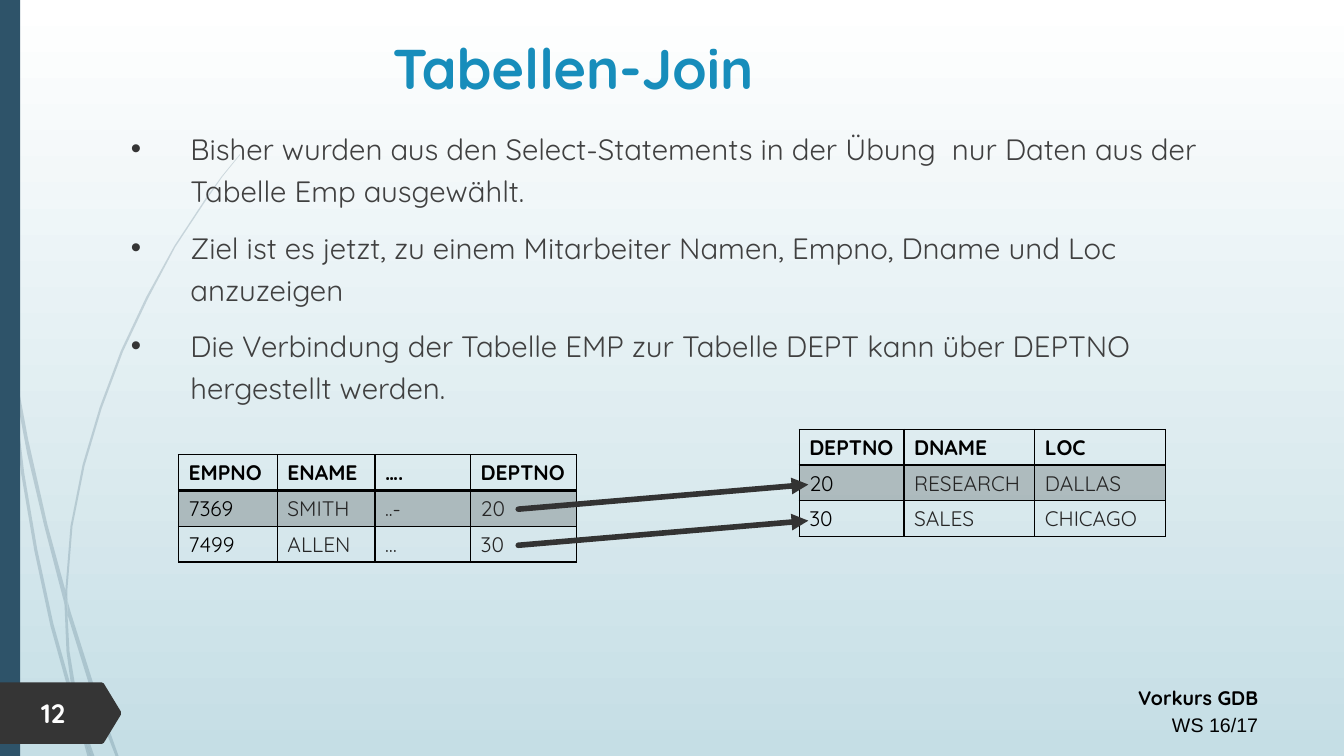
from pptx import Presentation
from pptx.dml.color import RGBColor
from pptx.enum.shapes import MSO_CONNECTOR, MSO_SHAPE
from pptx.enum.text import MSO_ANCHOR, PP_ALIGN
from pptx.oxml import parse_xml
from pptx.oxml.ns import nsdecls, qn
from pptx.util import Cm, Pt

RECT = MSO_SHAPE.RECTANGLE
LINE = MSO_CONNECTOR.STRAIGHT
TOP, MIDDLE = MSO_ANCHOR.TOP, MSO_ANCHOR.MIDDLE
LEFT, CENTER, RIGHT = PP_ALIGN.LEFT, PP_ALIGN.CENTER, PP_ALIGN.RIGHT

UNIT = Cm(2.54) / 100

WISPS = [
    [(8, 350), (6, 322), (0, 282), (0, 299), (8, 344)],
    [(44, 522), (64, 599), (65, 586), (47, 520), (28, 436), (11, 345),
     (13, 376), (27, 450)],
    [(70, 607), (67, 596), (67, 610), (93, 694), (115, 751), (118, 751),
     (97, 692)],
    [(91, 751), (94, 751), (80, 711)],
    [(71, 683), (53, 619), (37, 545), (24, 469), (13, 376), (8, 350),
     (21, 470), (34, 546), (50, 621), (70, 693), (77, 714), (75, 707)],
    [(64, 599), (66, 646), (71, 683), (73, 692), (80, 711), (79, 706),
     (69, 646), (67, 610), (67, 608)],
    [(67, 584), (72, 522), (84, 462), (101, 405), (122, 349), (147, 296),
     (174, 245), (205, 198), (221, 175), (238, 154), (238, 153), (220, 175),
     (204, 197), (173, 244), (145, 295), (120, 348), (99, 404), (82, 461),
     (70, 522), (65, 584), (65, 586), (67, 596)],
    [(77, 714), (87, 751), (90, 751)],
    [(67, 608), (67, 610), (67, 596), (65, 586), (64, 599)],
    [(74, 692), (71, 683), (75, 707), (77, 714), (90, 751), (91, 751),
     (80, 711)],
]
TAG = [(0, 677), (101, 677), (103, 678), (120, 706), (120, 709),
       (103, 737), (101, 738), (0, 738)]

POINTS = [
    "Bisher wurden aus den Select-Statements in der Übung  nur Daten aus der Tabelle Emp ausgewählt.",
    "Ziel ist es jetzt, zu einem Mitarbeiter Namen, Empno, Dname und Loc anzuzeigen",
    "Die Verbindung der Tabelle EMP zur Tabelle DEPT kann über DEPTNO hergestellt werden.",
]
EMP = [["EMPNO", "ENAME", "….", "DEPTNO"],
       ["7369", "SMITH", "..-", "20"],
       ["7499", "ALLEN", "…", "30"]]
DEPT = [["DEPTNO", "DNAME", "LOC"],
        ["20", "RESEARCH", "DALLAS"],
        ["30", "SALES", "CHICAGO"]]


def color(code):
    return RGBColor.from_string(code)


def fade(props, share):
    tint = next(props.iter(qn("a:srgbClr")))
    tint.append(parse_xml(f'<a:alpha {nsdecls("a")} val="{share * 1000}"/>'))


def write(para, text, size=15, font="Quicksand", ink="000000", bold=False,
          align=LEFT, space=None, before=0):
    para.alignment = align
    para.space_before = Pt(before)
    if space:
        para.line_spacing = space
    run = para.add_run()
    run.text = text
    run.font.size = Pt(size)
    run.font.name = font
    run.font.bold = bold
    run.font.color.rgb = color(ink)


class Board:
    deep, dark, ink = "2E5369", "353535", "000000"

    def __init__(self, deck):
        self.slide = deck.slides.add_slide(deck.slide_layouts[6])
        self.shapes = self.slide.shapes

    def back(self, first, last):
        fill = self.slide.background.fill
        fill.gradient()
        fill.gradient_angle = 270
        for stop, place, code in zip(fill.gradient_stops, (0, 1), (first, last)):
            stop.position = place
            stop.color.rgb = color(code)

    def paint(self, shape, code, share=100):
        shape.shadow.inherit = False
        shape.fill.solid()
        shape.fill.fore_color.rgb = color(code)
        shape.line.fill.background()
        if share < 100:
            fade(shape._element.spPr, share)

    def outline(self, points, code, share=100):
        form = self.shapes.build_freeform(*points[0], scale=UNIT)
        form.add_line_segments(points[1:], close=True)
        self.paint(form.convert_to_shape(), code, share)

    def bar(self, x, y, wide, high, code):
        self.paint(self.shapes.add_shape(RECT, Cm(x), Cm(y), Cm(wide), Cm(high)), code)

    def text(self, x, y, wide, high, anchor=TOP):
        frame = self.shapes.add_textbox(Cm(x), Cm(y), Cm(wide), Cm(high)).text_frame
        frame.word_wrap = True
        frame.vertical_anchor = anchor
        return frame

    def bullets(self, frame, items):
        for index, item in enumerate(items):
            para = frame.add_paragraph() if index else frame.paragraphs[0]
            props = para._p.get_or_add_pPr()
            props.set("marL", str(Cm(1.5)))
            props.set("indent", str(-Cm(1.5)))
            for body in (f'buClr {nsdecls("a")}><a:srgbClr val="{self.dark}"/></a:buClr',
                         f'buFont {nsdecls("a")} typeface="Arial"/',
                         f'buChar {nsdecls("a")} char="•"/'):
                props.append(parse_xml(f"<a:{body}>"))
            write(para, item, size=21, ink="404040", space=1.2,
                  before=10 if index else 0)

    def edge(self, cell, row):
        props = cell._tc.get_or_add_tcPr()
        widths = {"L": 1, "R": 1, "T": 2 if row == 1 else 1, "B": 1 if row else 2}
        for place, (side, width) in enumerate(widths.items()):
            props.insert(place, parse_xml(
                f'<a:ln{side} {nsdecls("a")} w="{Pt(width)}"><a:solidFill>'
                f'<a:srgbClr val="{self.ink}"/></a:solidFill></a:ln{side}>'))

    def table(self, x, y, cols, data):
        high = 0.9
        table = self.shapes.add_table(len(data), len(cols), Cm(x), Cm(y),
                                      Cm(sum(cols)), Cm(high * len(data))).table
        table.horz_banding = table.first_row = False
        for col, wide in zip(table.columns, cols):
            col.width = Cm(wide)
        for r, line in enumerate(data):
            for c, word in enumerate(line):
                cell = table.cell(r, c)
                if r == 1:
                    cell.fill.solid()
                    cell.fill.fore_color.rgb = color(self.ink)
                    fade(cell._tc.get_or_add_tcPr(), 20)
                else:
                    cell.fill.background()
                self.edge(cell, r)
                write(cell.text_frame.paragraphs[0], word, bold=r == 0,
                      ink="262626" if r and c else self.ink)

    def arrow(self, x, y, right, end):
        link = self.shapes.add_connector(LINE, Cm(x), Cm(y), Cm(right), Cm(end))
        link.line.color.rgb = color("333333")
        link.line.width = Pt(4)
        stroke = link.line._get_or_add_ln()
        stroke.set("cap", "rnd")
        stroke.append(parse_xml(f'<a:tailEnd {nsdecls("a")} type="triangle"/>'))
        link._element.spPr.append(parse_xml(f'<a:effectLst {nsdecls("a")}/>'))


def main():
    deck = Presentation()
    deck.slide_width, deck.slide_height = Cm(33.87), Cm(19.05)
    board = Board(deck)
    board.back("FFFFFF", "C5DEE5")
    for wisp in WISPS:
        board.outline(wisp, board.deep, 20)
    board.bar(0, 0, 0.51, 19.05, board.deep)

    foot = board.text(18.75, 17.07, 13.21, 1.63)
    write(foot.paragraphs[0], "Vorkurs GDB", size=14, bold=True, align=RIGHT, space=1.14)
    write(foot.add_paragraph(), "WS 16/17", size=14, font="Arial", align=RIGHT, space=1.14)

    board.outline(TAG, board.dark)
    page = board.text(0.79, 17.42, 1.78, 1.07, MIDDLE)
    write(page.paragraphs[0], "12", size=19, ink="FFFFFF", bold=True)

    title = board.text(3.05, 0.66, 22.78, 2.06, MIDDLE)
    write(title.paragraphs[0], "Tabellen-Join", size=40, ink="178DBB", bold=True, align=CENTER)
    board.bullets(board.text(3.05, 3, 28.91, 14.76), POINTS)

    board.table(4.5, 11.46, [2.49, 2.46, 2.41, 2.67], EMP)
    board.table(20.14, 10.82, [2.64, 3.3, 3.3], DEPT)
    for y in (12.83, 13.74):
        board.arrow(13.06, y, 20.37, y - 0.62)
    deck.save("out.pptx")


if __name__ == "__main__":
    main()
